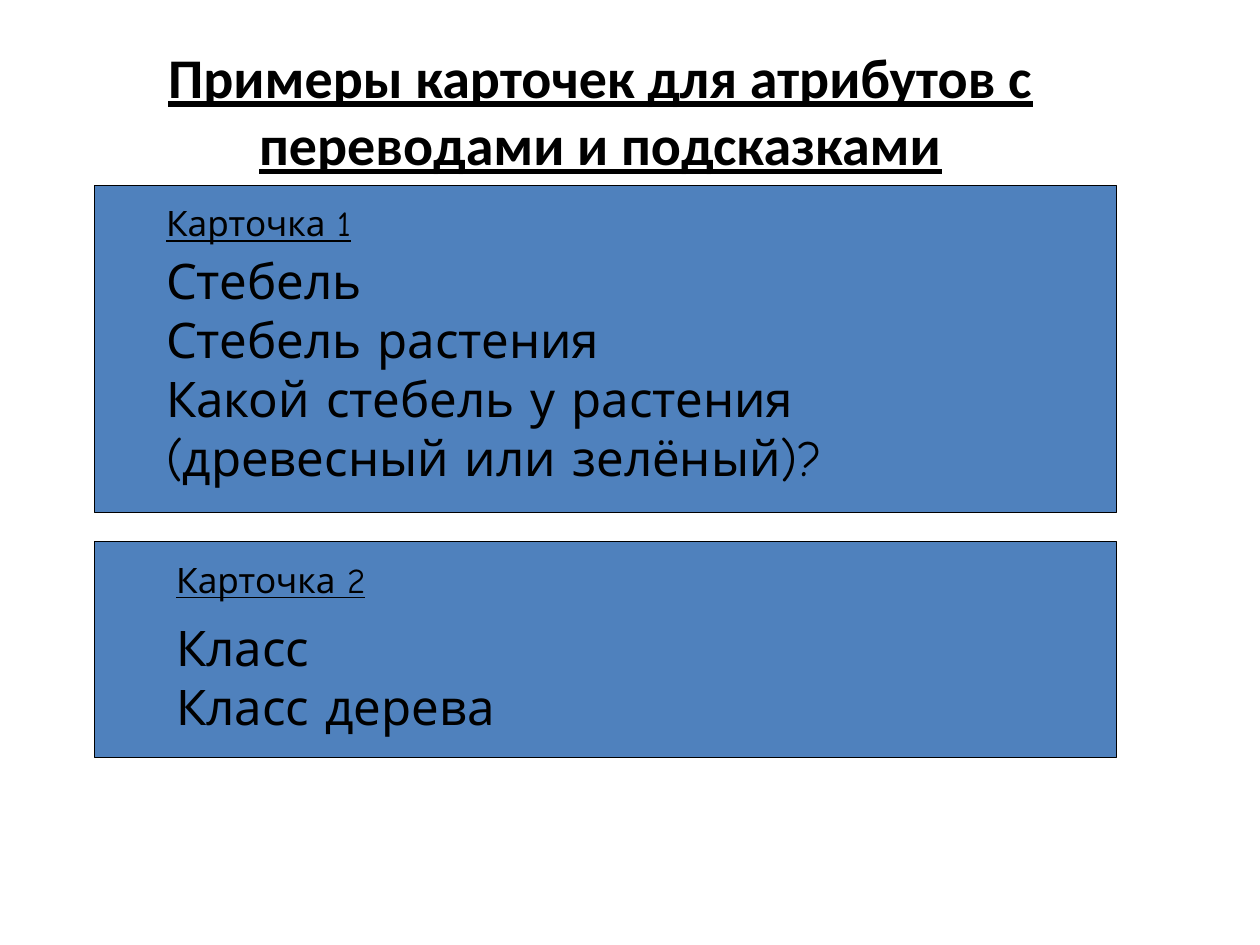
from pptx import Presentation
from pptx import util as u
from pptx.dml.color import RGBColor
from pptx.enum import shapes, text

Pt = u.Pt
TITLE = dict(name="Calibri", size=Pt(32), bold=True, underline=True)
LABEL = dict(name="Comic Neue", size=Pt(20), underline=True)
BODY = dict(name="Comic Neue", size=Pt(28))
CARDS = [
    dict(box=(54, 105.84, 583.92, 187.2), label="Карточка 1",
         label_box=(33.84, 5.76, 187.2, 31.68),
         lines=["Стебель", "Стебель растения",
                "Какой стебель у растения (древесный или зелёный)?"],
         body_box=(33.84, 33.84, 436.32, 141.84)),
    dict(box=(54, 309.6, 583.92, 123.12), label="Карточка 2",
         label_box=(39.6, 5.76, 124.56, 31.68),
         lines=["Класс", "Класс дерева"],
         body_box=(39.6, 39.6, 260.64, 74.88)),
]


def color(value):
    return RGBColor.from_string(value)


def add_text(s, box, lines, fmt, align=text.PP_ALIGN.LEFT,
             anchor=text.MSO_ANCHOR.TOP):
    tf = s.shapes.add_textbox(*map(Pt, box)).text_frame
    tf.word_wrap = True
    tf.vertical_anchor = anchor
    for i, line in enumerate(lines):
        p = tf.add_paragraph() if i else tf.paragraphs[0]
        p.alignment = align
        r = p.add_run()
        r.text = line
        r.font.color.rgb = color("000000")
        for key, value in fmt.items():
            setattr(r.font, key, value)


def add_title(s, box):
    add_text(s, box,
             ["Примеры карточек для атрибутов с переводами и подсказками"],
             TITLE, text.PP_ALIGN.CENTER, text.MSO_ANCHOR.MIDDLE)


def add_card(s, box, label, label_box, lines, body_box):
    sp = s.shapes.add_shape(shapes.MSO_SHAPE.RECTANGLE, *map(Pt, box))
    sp.shadow.inherit = False
    sp.fill.solid()
    sp.fill.fore_color.rgb = color("4F81BD")
    sp.line.color.rgb = color("000000")
    sp.line.width = Pt(0.75)
    x, y = box[:2]
    for (dx, dy, w, h), content, fmt in ((label_box, [label], LABEL),
                                         (body_box, lines, BODY)):
        add_text(s, (x + dx, y + dy, w, h), content, fmt)


def main():
    prs = Presentation()
    prs.slide_width, prs.slide_height = Pt(720), Pt(540)
    s = prs.slides.add_slide(prs.slide_layouts[6])
    add_title(s, (54, 25.92, 578.16, 73.44))
    for card in CARDS:
        add_card(s, **card)
    prs.save("out.pptx")


if __name__ == "__main__":
    main()
